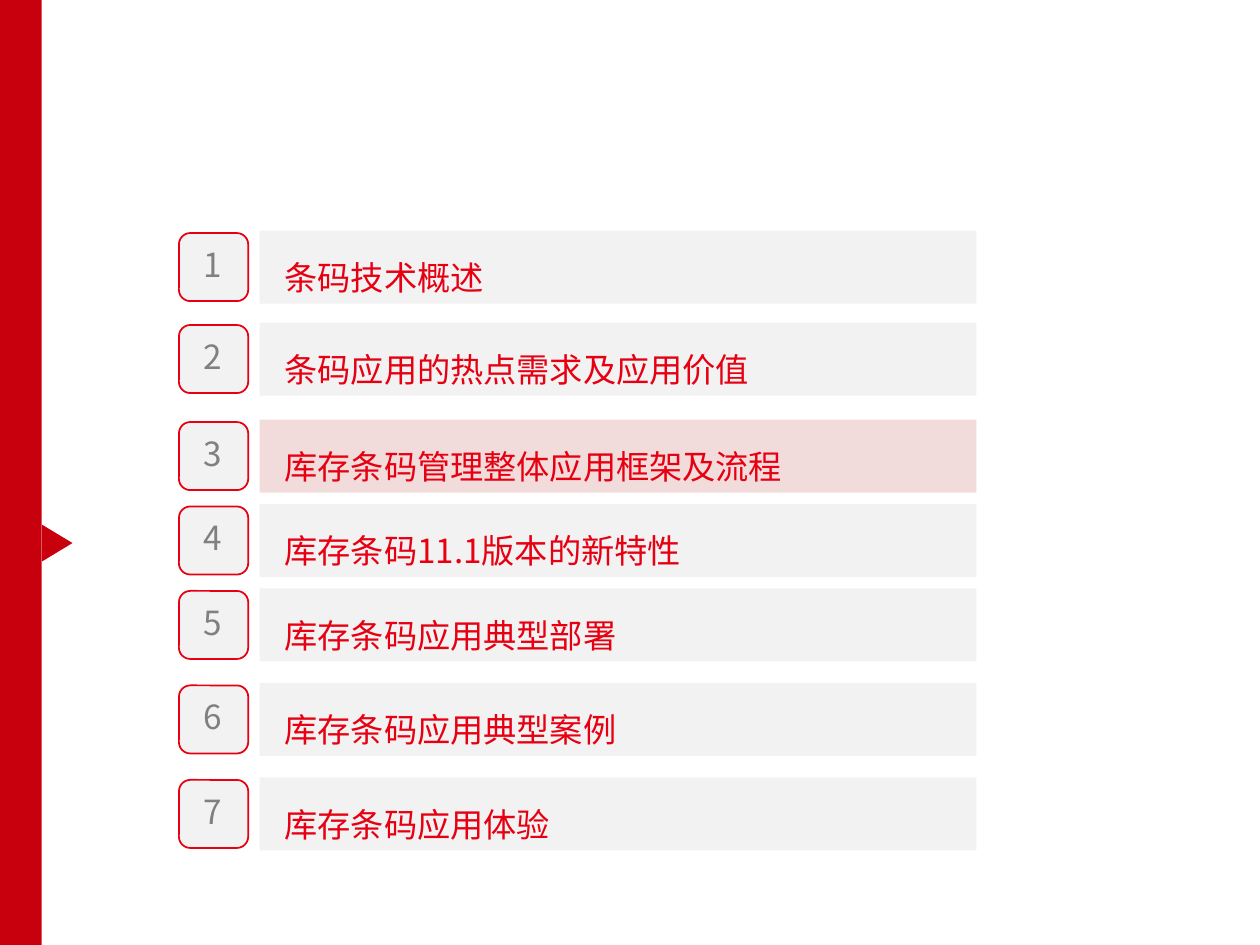
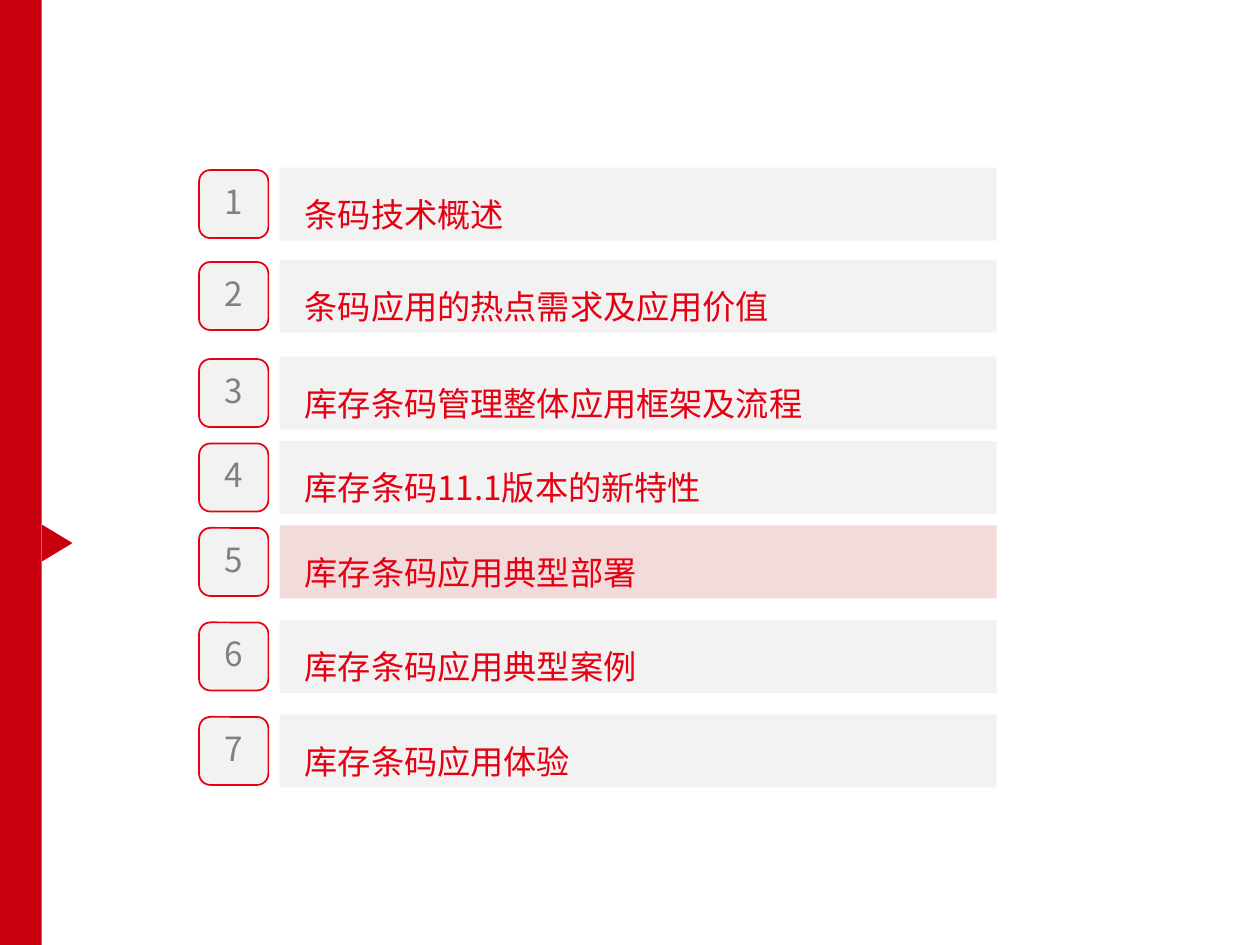
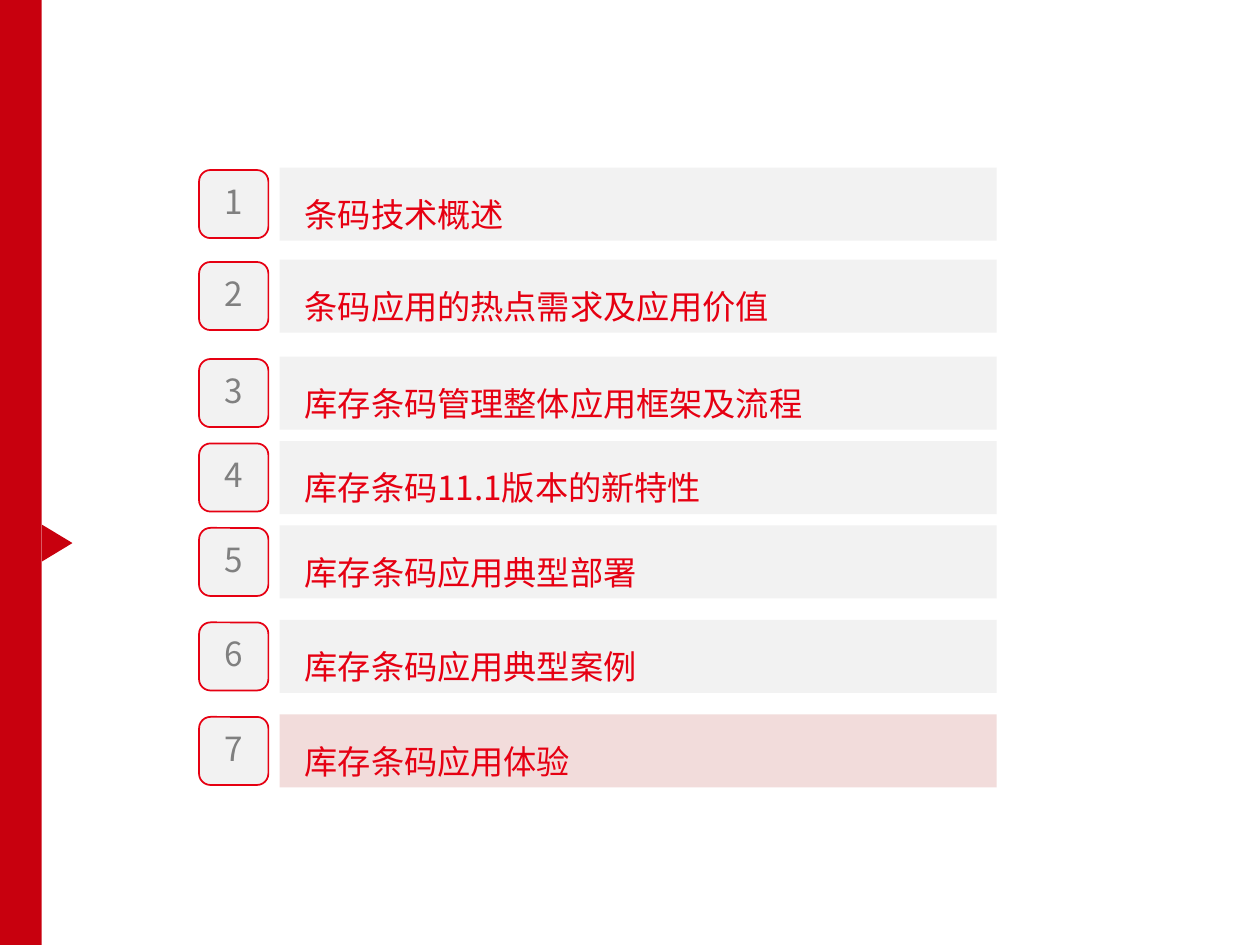
import dataclasses

import lxml.etree
import pptx
import pptx.dml.color
import pptx.enum.shapes
import pptx.enum.text
import pptx.oxml.ns
import pptx.util


@dataclasses.dataclass
class Theme:
    band: str = "C8000E"
    red: str = "E60012"
    pale: str = "F2F2F2"
    pink: str = "F2DCDB"
    gray: str = "808080"
    font: str = "Noto Sans CJK SC"
    size: int = 19


theme = Theme()
Inches = pptx.util.Inches
Rgb = pptx.dml.color.RGBColor.from_string
Kind = pptx.enum.shapes.MSO_SHAPE
Align = pptx.enum.text.PP_ALIGN
Anchor = pptx.enum.text.MSO_ANCHOR
Fit = pptx.enum.text.MSO_AUTO_SIZE
qn = pptx.oxml.ns.qn


def draw(shapes, kind, left, top, width, height, fill, line=None):
    shape = shapes.add_shape(kind, Inches(left), Inches(top), Inches(width), Inches(height))
    shape.shadow.inherit = False
    shape.fill.solid()
    shape.fill.fore_color.rgb = Rgb(fill)
    if line:
        shape.line.color.rgb = Rgb(line)
        shape.line.width = pptx.util.Pt(1)
    else:
        shape.line.fill.background()
    return shape


def write(shape, text, color, anchor=Anchor.TOP, wrap=True, fit=Fit.NONE,
          indent=0, spacing=None, after=None):
    frame = shape.text_frame
    frame.word_wrap = wrap
    frame.auto_size = fit
    frame.vertical_anchor = anchor
    para = frame.paragraphs[0]
    para.alignment = Align.LEFT
    props = para._p.get_or_add_pPr()
    props.set("marL", str(Inches(indent)))
    props.set("indent", "0")
    if spacing:
        para.line_spacing = spacing
    if after:
        space = lxml.etree.SubElement(props, qn("a:spcAft"))
        lxml.etree.SubElement(space, qn("a:spcPct")).set("val", str(after * 1000))
    run = para.add_run()
    run.text = text
    run.font.name = theme.font
    run.font.size = pptx.util.Pt(theme.size)
    run.font.color.rgb = Rgb(color)
    face = lxml.etree.SubElement(run._r.get_or_add_rPr(), qn("a:ea"))
    face.set("typeface", theme.font)


topics = [
    (0, "条码技术概述"),
    (0.73, "条码应用的热点需求及应用价值"),
    (1.5, "库存条码管理整体应用框架及流程"),
    (2.17, "库存条码11.1版本的新特性"),
    (2.84, "库存条码应用典型部署"),
    (3.59, "库存条码应用典型案例"),
    (4.34, "库存条码应用体验"),
]
agendas = [(1.42, 1.83, 3), (1.58, 1.33, 5), (1.58, 1.33, 7)]

deck = pptx.Presentation()
deck.slide_width = Inches(10)
deck.slide_height = Inches(7.5)

for left, start, active in agendas:
    slide = deck.slides.add_slide(deck.slide_layouts[6])
    draw(slide.shapes, Kind.RECTANGLE, -0.01, 0, 0.34, 7.5, theme.band)
    arrow = draw(slide.shapes, Kind.ISOSCELES_TRIANGLE, 0.31, 4.19, 0.29, 0.24, theme.band)
    arrow.rotation = 90

    for num, (drop, topic) in enumerate(topics, 1):
        top = start + drop
        row = slide.shapes.add_group_shape().shapes
        draw(row, Kind.ROUNDED_RECTANGLE, left, top + 0.02, 0.55, 0.54, theme.pale, theme.red)
        fill = theme.pink if num == active else theme.pale
        bar = draw(row, Kind.RECTANGLE, left + 0.64, top, 5.69, 0.58, fill)
        write(bar, topic, theme.red, anchor=Anchor.MIDDLE, indent=0.1, spacing=1.5, after=35)
        digit = draw(row, Kind.RECTANGLE, left + 0.1, top + 0.06, 0.36, 0.42, theme.pale)
        write(digit, str(num), theme.gray, wrap=False, fit=Fit.SHAPE_TO_FIT_TEXT)

deck.save("out.pptx")
